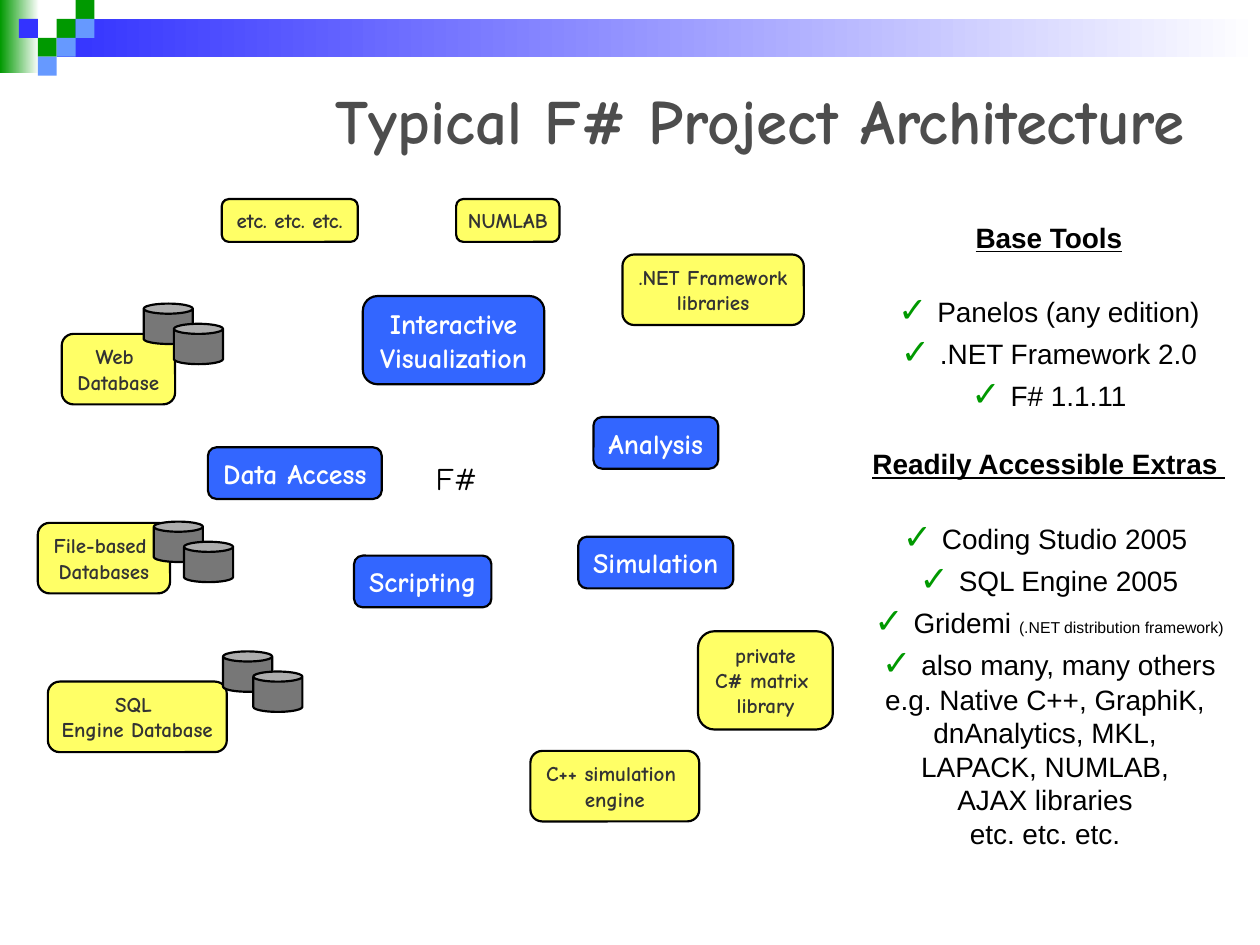
"""Build the slide on a typical F# project architecture."""
from pptx import Presentation
from pptx.dml.color import RGBColor
from pptx.enum.shapes import MSO_SHAPE
from pptx.enum.text import MSO_ANCHOR, MSO_AUTO_SIZE, PP_ALIGN
from pptx.util import Inches, Pt

RECTANGLE, ROUNDED, CAN = MSO_SHAPE.RECTANGLE, MSO_SHAPE.ROUNDED_RECTANGLE, MSO_SHAPE.CAN
TOP, MIDDLE = MSO_ANCHOR.TOP, MSO_ANCHOR.MIDDLE
LEFT, CENTER, RIGHT = PP_ALIGN.LEFT, PP_ALIGN.CENTER, PP_ALIGN.RIGHT
FIXED_SIZE = MSO_AUTO_SIZE.NONE

THEME = {
    "green": RGBColor.from_string("009900"),
    "indigo": RGBColor.from_string("3333FF"),
    "sky": RGBColor.from_string("6699FF"),
    "blue": RGBColor.from_string("3366FF"),
    "yellow": RGBColor.from_string("FFFF66"),
    "gray": RGBColor.from_string("777777"),
    "white": RGBColor.from_string("FFFFFF"),
    "black": RGBColor.from_string("000000"),
    "outline": Pt(1.25),
    "line_pitch": Pt(19.1),
    "check_pitch": Pt(24.1),
}
STYLES = {
    "title": ({"name": "Comic Neue", "size": Pt(36), "bold": True}, RGBColor.from_string("4D4D4D")),
    "component": ({"name": "Comic Neue", "size": Pt(16), "bold": True}, THEME["white"]),
    "resource": ({"name": "Comic Neue", "size": Pt(12), "bold": True}, RGBColor.from_string("333333")),
    "language": ({"name": "Comic Neue", "size": Pt(18)}, THEME["black"]),
    "heading": ({"name": "Arial", "size": Pt(16), "bold": True, "underline": True}, THEME["black"]),
    "check": ({"name": "Arial", "size": Pt(20)}, THEME["green"]),
    "item": ({"name": "Arial", "size": Pt(16)}, THEME["black"]),
    "remark": ({"name": "Arial", "size": Pt(9)}, THEME["black"]),
}


def write_paragraphs(shape, paragraphs, alignment, anchor, wrap=False):
    frame = shape.text_frame
    frame_format = {"word_wrap": wrap, "auto_size": FIXED_SIZE, "vertical_anchor": anchor}
    for name, value in frame_format.items():
        setattr(frame, name, value)
    for index, (runs, paragraph_format) in enumerate(paragraphs):
        paragraph = frame.add_paragraph() if index else frame.paragraphs[0]
        paragraph.alignment = alignment
        for name, value in paragraph_format.items():
            setattr(paragraph, name, value)
        for text, style in runs:
            run = paragraph.add_run()
            run.text = text
            font_format, color = STYLES[style]
            for name, value in font_format.items():
                setattr(run.font, name, value)
            run.font.color.rgb = color


def add_filled_shape(slide, kind, box, color, outlined=False):
    shape = slide.shapes.add_shape(kind, *(Inches(length) for length in box))
    shape.shadow.inherit = False
    shape.fill.solid()
    shape.fill.fore_color.rgb = color
    if outlined:
        shape.line.color.rgb = THEME["black"]
        shape.line.width = THEME["outline"]
    else:
        shape.line.fill.background()
    return shape


presentation = Presentation()
presentation.slide_width, presentation.slide_height = Inches(10), Inches(7.5)
slide = presentation.slides.add_slide(presentation.slide_layouts[5])

title = slide.shapes.title
title.left, title.top, title.width, title.height = (Inches(x) for x in (0.5, 0.5, 9, 0.89))
write_paragraphs(title, [([("Typical F# Project Architecture", "title")], {})], RIGHT, MIDDLE, wrap=True)

for box, color in (((0, 0, 0.31, 0.58), "green"), ((0.45, 0.15, 9.55, 0.3), "indigo")):
    band = add_filled_shape(slide, RECTANGLE, box, THEME[color])
    band.fill.gradient()
    band.fill.gradient_angle = 0
    for stop, stop_color in zip(band.fill.gradient_stops, (color, "white")):
        stop.color.rgb = THEME[stop_color]

TILE = 0.15
for column, row, color in (
    (3, 1, "green"), (4, 0, "green"), (4, 1, "sky"), (2, 2, "green"),
    (1, 1, "indigo"), (3, 2, "sky"), (2, 3, "sky"),
):
    add_filled_shape(slide, RECTANGLE, (column * TILE, row * TILE, TILE, TILE), THEME[color])

tool_lists = [
    ("Base Tools", [
        ("Panelos (any edition)", ""),
        (".NET Framework 2.0", ""),
        ("F# 1.1.11", ""),
    ]),
    ("Readily Accessible Extras ", [
        ("Coding Studio 2005 ", ""),
        ("SQL Engine 2005", ""),
        ("Gridemi ", "(.NET distribution framework)"),
        ("also many, many others", ""),
    ]),
]
examples = [
    "e.g. Native C++, GraphiK, ", "dnAnalytics, MKL, ", "LAPACK, NUMLAB, ",
    "AJAX libraries ", "etc. etc. etc. ",
]
tool_paragraphs = []
for list_index, (heading, items) in enumerate(tool_lists):
    heading_gap = THEME["line_pitch"] if list_index else Pt(0)
    tool_paragraphs.append((
        [(heading, "heading")],
        {"line_spacing": THEME["line_pitch"], "space_before": heading_gap, "space_after": THEME["line_pitch"]},
    ))
    for item, remark in items:
        runs = [("✓ ", "check"), (item, "item")]
        if remark:
            runs.append((remark, "remark"))
        tool_paragraphs.append((runs, {"line_spacing": THEME["check_pitch"]}))
for example in examples:
    tool_paragraphs.append(([(example, "item")], {"line_spacing": THEME["line_pitch"]}))
tools = slide.shapes.add_textbox(Inches(6.82), Inches(1.7), Inches(3.01), Inches(5.1))
write_paragraphs(tools, tool_paragraphs, CENTER, TOP)

box_groups = [
    ("resource", "yellow", [
        ((4.21, 5.96, 1.34, 0.56), ["C++ simulation ", "engine"]),
        ((5.54, 5.01, 1.07, 0.78), ["private", "C# matrix ", "library"]),
        ((0.49, 2.65, 0.9, 0.56), ["Web ", "Database"]),
        ((0.38, 5.41, 1.42, 0.56), ["SQL ", "Engine Database"]),
        ((4.94, 2.02, 1.44, 0.56), [".NET Framework", "libraries"]),
        ((3.62, 1.58, 0.82, 0.34), ["NUMLAB"]),
        ((0.3, 4.15, 1.05, 0.56), ["File-based ", "Databases"]),
        ((1.76, 1.58, 1.08, 0.34), ["etc. etc. etc."]),
    ]),
    ("component", "blue", [
        ((1.65, 3.55, 1.38, 0.41), ["Data Access"]),
        ((4.59, 4.26, 1.23, 0.41), ["Simulation"]),
        ((2.88, 2.35, 1.44, 0.7), ["Interactive", "Visualization"]),
        ((2.81, 4.41, 1.09, 0.41), ["Scripting"]),
        ((4.71, 3.31, 0.99, 0.41), ["Analysis"]),
    ]),
]
for style, color, boxes in box_groups:
    for box, lines in boxes:
        shape = add_filled_shape(slide, ROUNDED, box, THEME[color], outlined=True)
        write_paragraphs(shape, [([(line, style)], {}) for line in lines], CENTER, MIDDLE)

language = slide.shapes.add_textbox(Inches(3.36), Inches(3.59), Inches(0.53), Inches(0.4))
write_paragraphs(language, [([("F#", "language")], {})], LEFT, TOP)

for left, top in ((1.77, 5.17), (1.22, 4.14), (1.14, 2.41)):
    for shift_x, shift_y in ((0, 0), (0.24, 0.16)):
        box = (left + shift_x, top + shift_y, 0.39, 0.32)
        add_filled_shape(slide, CAN, box, THEME["gray"], outlined=True)

presentation.save("out.pptx")
